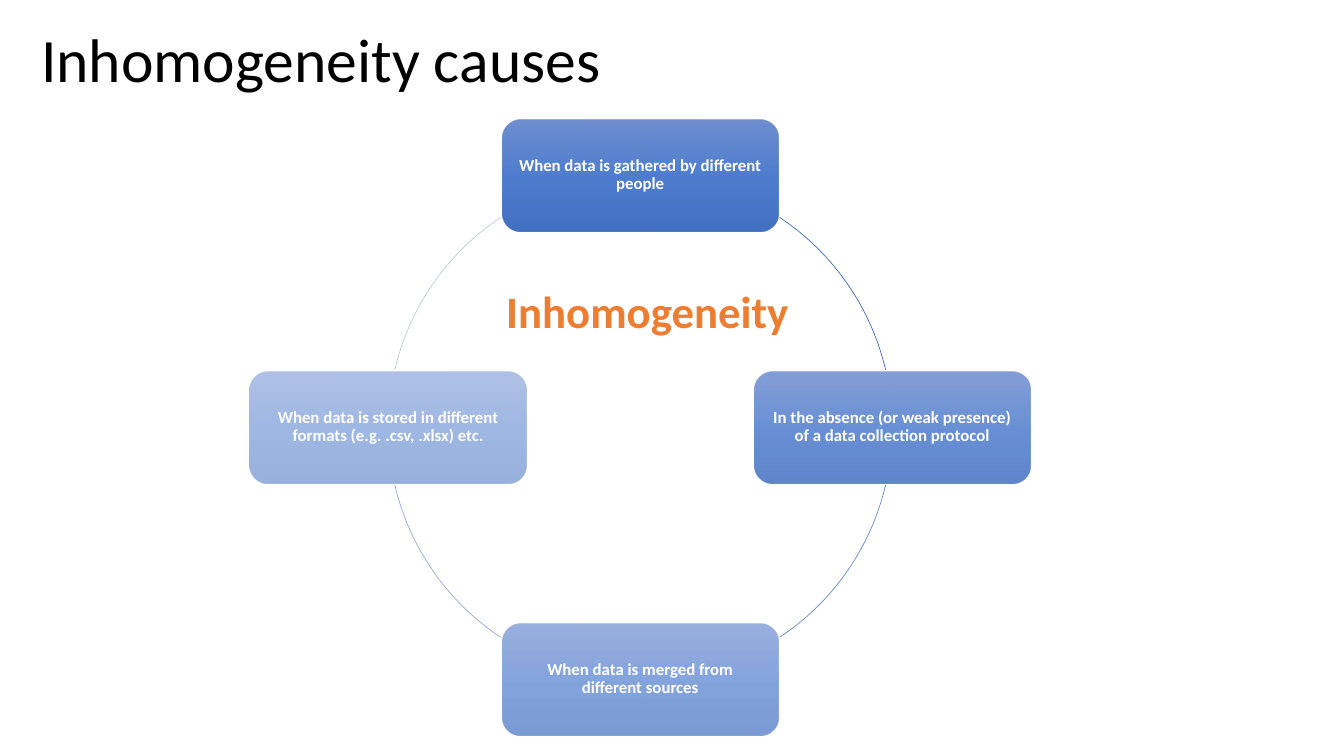
from math import cos, radians, sin

from lxml.etree import SubElement
from pptx import Presentation
from pptx.dml.color import RGBColor
from pptx.enum.shapes import MSO_SHAPE
from pptx.enum.text import MSO_ANCHOR, PP_ALIGN
from pptx.oxml.ns import qn
from pptx.util import Inches, Pt

FONT = "Calibri"
BOX_W, BOX_H = 2.74, 1.11
GRADIENT = [(0, "6183CB"), (50, "3E70CA"), (100, "3062BB")]
CAUSES = [
    ("When data is gathered by different people", 90, "416DBB", (303.6, 346.8)),
    ("In the absence (or weak presence) of a data collection protocol", 77,
     "6C8AC8", (13.2, 56.4)),
    ("When data is merged from different sources", 63, "97A9D5", (123.6, 166.8)),
    ("When data is stored in different formats (e.g. .csv, .xlsx) etc.", 50,
     "C1C9E4", (193.2, 236.4)),
]


def color(value):
    return RGBColor.from_string(value)


def set_text(sp, text, size, hex_color, bold=False, align=PP_ALIGN.LEFT,
             anchor=MSO_ANCHOR.TOP, insets=(0, 0)):
    tf = sp.text_frame
    tf.word_wrap = True
    tf.vertical_anchor = anchor
    tf.margin_left = tf.margin_right = Inches(insets[0])
    tf.margin_top = tf.margin_bottom = Inches(insets[1])
    p = tf.paragraphs[0]
    p.text = text
    p.alignment = align
    p.line_spacing = 0.9
    p.font.name = FONT
    p.font.size = Pt(size)
    p.font.bold = bold
    p.font.color.rgb = color(hex_color)


def set_gradient(sp, opacity):
    sp.fill.gradient()
    sp.fill.gradient_angle = 270
    stops = sp.fill._fill._gradFill.find(qn("a:gsLst"))
    for stop in list(stops):
        stops.remove(stop)
    for position, value in GRADIENT:
        stop = SubElement(stops, qn("a:gs"), pos=str(position * 1000))
        rgb = SubElement(stop, qn("a:srgbClr"), val=value)
        SubElement(rgb, qn("a:alpha"), val=str(opacity * 1000))


def add_title(s, left, top, width, height):
    sp = s.shapes.add_textbox(Inches(left), Inches(top), Inches(width), Inches(height))
    set_text(sp, "Inhomogeneity causes", 44, "000000",
             anchor=MSO_ANCHOR.MIDDLE, insets=(0.1, 0.05))


def add_arc(s, left, top, size, angles, hex_color):
    sp = s.shapes.add_shape(MSO_SHAPE.ARC, Inches(left), Inches(top),
                            Inches(size), Inches(size))
    for i, angle in enumerate(angles):
        sp.adjustments[i] = angle * 0.6
    sp.shadow.inherit = False
    sp.fill.background()
    sp.line.color.rgb = color(hex_color)
    sp.line.width = Pt(0.5)


def add_cause(s, center_x, center_y, text, opacity):
    sp = s.shapes.add_shape(MSO_SHAPE.ROUNDED_RECTANGLE,
                            Inches(center_x - BOX_W / 2), Inches(center_y - BOX_H / 2),
                            Inches(BOX_W), Inches(BOX_H))
    sp.shadow.inherit = False
    sp.line.fill.background()
    set_gradient(sp, opacity)
    set_text(sp, text, 12, "FFFFFF", True, PP_ALIGN.CENTER, MSO_ANCHOR.MIDDLE,
             (0.1, 0.1))


def add_cycle(s, left, top, size):
    radius = size / 2
    for i, (text, opacity, line, angles) in enumerate(CAUSES):
        turn = radians(i * 360 / len(CAUSES) - 90)
        add_cause(s, left + radius + radius * cos(turn),
                  top + radius + radius * sin(turn), text, opacity)
        add_arc(s, left, top, size, angles, line)
    sp = s.shapes.add_textbox(Inches(left + 1.17), Inches(top + 1.14),
                              Inches(3.48), Inches(0.6))
    set_text(sp, "Inhomogeneity", 32, "ED7D31", bold=True)


def main():
    prs = Presentation()
    prs.slide_width, prs.slide_height = Inches(13.33), Inches(7.5)
    s = prs.slides.add_slide(prs.slide_layouts[6])
    add_title(s, 0.31, 0.04, 6.04, 1.17)
    add_cycle(s, 3.85, 1.74, 5)
    prs.save("out.pptx")


if __name__ == "__main__":
    main()
